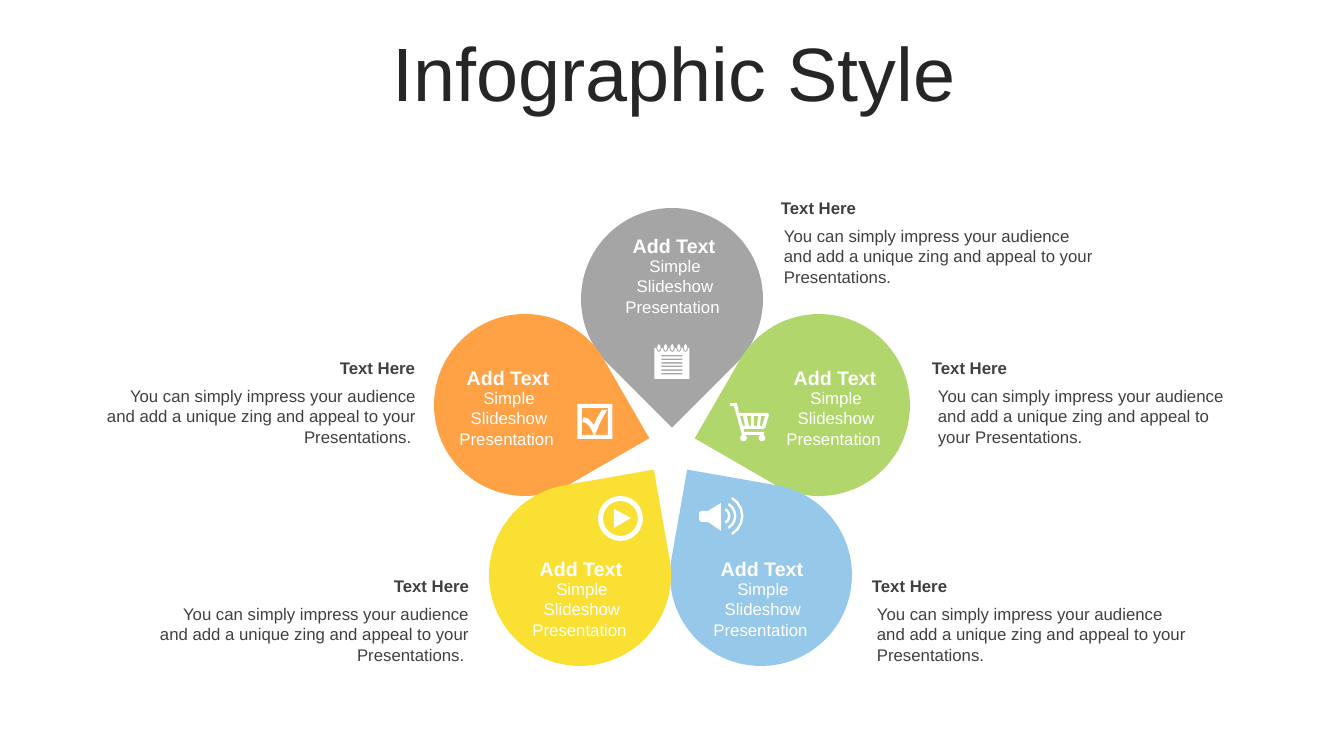
from math import cos, radians, sin

from pptx import Presentation
from pptx.dml.color import RGBColor
from pptx.enum.shapes import MSO_SHAPE
from pptx.enum.text import MSO_ANCHOR, PP_ALIGN
from pptx.util import Pt

PX = 12192000 / 1344

INK = RGBColor(0x26, 0x26, 0x26)
TEXT = RGBColor(0x40, 0x40, 0x40)
WHITE = RGBColor(0xFF, 0xFF, 0xFF)
GRAY = RGBColor(0xA5, 0xA5, 0xA5)
GREEN = RGBColor(0xB0, 0xD6, 0x6C)
BLUE = RGBColor(0x96, 0xC8, 0xE9)
ORANGE = RGBColor(0xFF, 0xA2, 0x46)
YELLOW = RGBColor(0xFB, 0xE0, 0x34)

PETALS = [
    (581, 208, 135, GRAY, 603, 229),
    (728, 314, 210, GREEN, 764, 361),
    (670, 484, 280, BLUE, 691, 552),
    (434, 314, 60, ORANGE, 437, 361),
    (489, 484, 350, YELLOW, 510, 552),
]

L, R, C = PP_ALIGN.LEFT, PP_ALIGN.RIGHT, PP_ALIGN.CENTER
NOTE = ("You can simply impress your audience and add a unique zing "
        "and appeal to your Presentations.")
NOTES = [
    (771, 774, 193, 334, L, NOTE),
    (922, 928, 353, 327, L, NOTE),
    (862, 867, 571, 331, L, NOTE),
    (143, 148, 571, 331, R, NOTE + " "),
    (90, 96, 353, 330, R, NOTE + " "),
]


def emu(n):
    return round(n * PX)


def add_text(slide, text, x, y, w, h, size=12, color=TEXT, bold=False,
             align=L, anchor=MSO_ANCHOR.TOP, line=None):
    box = slide.shapes.add_textbox(emu(x), emu(y), emu(w), emu(h))
    frame = box.text_frame
    frame.word_wrap = True
    frame.vertical_anchor = anchor
    para = frame.paragraphs[0]
    para.text = text
    para.alignment = align
    para.line_spacing = line
    font = para.font
    font.name = "Arial"
    font.size = Pt(size)
    font.bold = bold
    font.color.rgb = color


def paint(shape, color):
    shape.shadow.inherit = False
    shape.fill.solid()
    shape.fill.fore_color.rgb = color
    shape.line.fill.background()


def add_petal(slide, x, y, turn, color, left, top):
    petal = slide.shapes.add_shape(
        MSO_SHAPE.TEAR, emu(x), emu(y), emu(182), emu(182))
    petal.rotation = turn
    paint(petal, color)
    add_text(slide, "Add Text", left, top, 142, 34, size=14, color=WHITE,
             bold=True, align=C)
    add_text(slide, "Simple Slideshow Presentation ", left + 1, top + 22,
             142, 72, color=WHITE, align=C)


def add_note(slide, head, left, top, width, align, text):
    add_text(slide, "Text Here", head, top, width + 5, 30, bold=True,
             align=align)
    add_text(slide, text, left, top + 28, width, 72, align=align)


def add_icon(slide, rings):
    pts = [[(emu(x), emu(y)) for x, y in ring] for ring in rings]
    pen = slide.shapes.build_freeform(*pts[0][0], scale=1.0)
    pen.add_line_segments(pts[0][1:], close=True)
    for ring in pts[1:]:
        pen.move_to(*ring[0])
        pen.add_line_segments(ring[1:], close=True)
    paint(pen.convert_to_shape(), WHITE)


def rect(x, y, w, h):
    return [(x, y), (x + w, y), (x + w, y + h), (x, y + h)]


def arc(x, y, rx, ry, start, end, steps):
    turns = [radians(start + (end - start) * i / steps)
             for i in range(steps + 1)]
    return [(x + rx * cos(t), y + ry * sin(t)) for t in turns]


def disc(x, y, r, steps):
    return arc(x, y, r, r, 0, 360, steps)[:-1]


def notepad():
    rings = [rect(654.5, 348, 35, 31)]
    rings += [rect(661.5, 355 + 3.6 * i, 21, 1.5) for i in range(6)]
    for i in range(5):
        x = 659 + 6.65 * i
        rings.append([(x - 2.5, 348)] + arc(x, 349, 2.5, 3, 180, 0, 4)
                     + [(x + 2.5, 348)])
        rings.append(arc(x, 346, 1.5, 2, 180, 360, 2)
                     + arc(x, 349, 1.5, 2, 0, 180, 2))
    return rings


def check():
    tick = [(594, 435), (590, 427), (586, 423), (582, 422), (584, 417),
            (589, 419), (594, 425), (597, 418), (602, 410), (607, 410),
            (600, 423), (595, 435)]
    return [rect(577.5, 404, 35, 35), rect(582, 408, 26, 27), tick]


def cart():
    frame = [(730, 403), (737, 403), (739, 413), (768, 413), (769, 415),
             (765, 428), (763, 429), (744, 429), (744, 432), (764, 432),
             (764, 435), (742, 435), (734, 406), (730, 406)]
    slots = [(740, 743, 743, 745), (747, 751, 749, 751),
             (754, 758, 754, 757), (761, 765, 760, 762)]
    rings = [frame]
    rings += [[(a, 416), (b, 416), (d, 426), (c, 426)]
              for a, b, c, d in slots]
    rings += [disc(x, 438, 3.4, 10) for x in (743.5, 762)]
    return rings


def speaker():
    horn = [(721, 503), (721, 531), (708, 522), (701, 522), (699, 520),
            (699, 513), (701, 511), (708, 511)]
    waves = [arc(721.5, 516, r, r, -60, 60, 6)
             + arc(721.5, 516, r - 2.5, r - 2.5, 60, -60, 6)
             for r in (9, 15, 22)]
    return [horn] + waves


def play():
    return [disc(620.5, 518.5, 22.5, 24), disc(620.5, 518.5, 17.5, 24),
            [(614, 509), (631, 518), (614, 528)]]


def main():
    deck = Presentation()
    deck.slide_width, deck.slide_height = emu(1344), emu(756)
    slide = deck.slides.add_slide(deck.slide_layouts[6])
    add_text(slide, "Infographic Style", 36, 37, 1276, 80, size=54,
             color=INK, align=C, anchor=MSO_ANCHOR.MIDDLE, line=0.9)
    for note in NOTES:
        add_note(slide, *note)
    for petal in PETALS:
        add_petal(slide, *petal)
    for icon in (notepad, check, cart, speaker, play):
        add_icon(slide, icon())
    deck.save("out.pptx")


if __name__ == "__main__":
    main()
